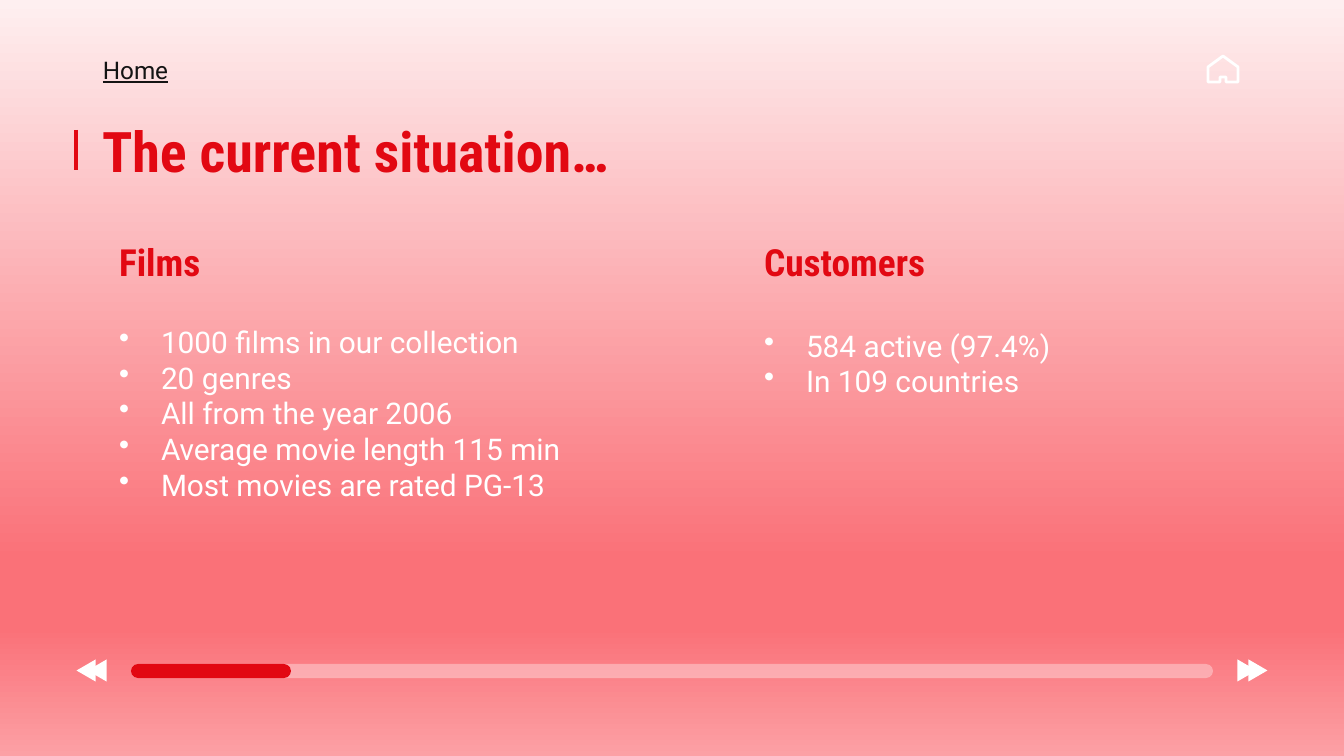
"""Build the slide about the current situation of films and customers."""
from dataclasses import dataclass

import lxml.etree
import pptx
import pptx.dml.color
import pptx.enum.dml
import pptx.enum.shapes
import pptx.enum.text
import pptx.oxml.ns
import pptx.util

SCALE = 9144000 / 1344
INSET = 13
INDENT = 42
COLORS = {"red": "E20812", "white": "FFFFFF", "ink": "141414"}
BACKDROP = {0: "FEEFF0", 74: "FA7178", 83: "FA7178", 100: "FCA0A5"}
HOUSE = [(1223, 56), (1208, 67), (1208, 82), (1220, 82), (1220, 77),
         (1226, 77), (1226, 82), (1238, 82), (1238, 67)]
SHAPES = pptx.enum.shapes.MSO_SHAPE
qn = pptx.oxml.ns.qn


@dataclass
class Label:
    box: tuple[int, int, int, int]
    lines: list[str]
    size: int
    color: str
    font: str = "Roboto"
    bold: bool = False
    underline: bool = False
    bullets: bool = False
    bottom: int = INSET


@dataclass
class Block:
    kind: SHAPES
    box: tuple[int, int, int, int]
    color: str
    rotation: int = 0
    alpha: int = 100


def px(n: float) -> int:
    return pptx.util.Emu(round(n * SCALE))


def rgb(name: str) -> pptx.dml.color.RGBColor:
    return pptx.dml.color.RGBColor.from_string(COLORS[name])


def heading(left: int, text: str) -> Label:
    return Label((left, 223, 344, 78), [text], 20, "red", "Roboto Condensed", bold=True)


def add_backdrop(s: pptx.slide.Slide) -> None:
    fill = s.background.fill
    fill.gradient()
    fill.gradient_angle = 270
    stops = s.element.find(".//" + qn("a:gsLst"))
    for stop in list(stops):
        stops.remove(stop)
    for position, color in BACKDROP.items():
        stop = lxml.etree.SubElement(stops, qn("a:gs"), pos=str(position * 1000))
        lxml.etree.SubElement(stop, qn("a:srgbClr"), val=color)


def add_bullet(p: pptx.text.text._Paragraph, color: str) -> None:
    props = p._p.get_or_add_pPr()
    props.set("marL", str(px(INDENT)))
    props.set("indent", str(-px(INDENT)))
    tint = lxml.etree.Element(qn("a:buClr"))
    lxml.etree.SubElement(tint, qn("a:srgbClr"), val=COLORS[color])
    props.insert(0, tint)
    props.insert(1, lxml.etree.Element(qn("a:buChar"), char="•"))


def add_label(s: pptx.slide.Slide, label: Label) -> None:
    tf = s.shapes.add_textbox(*map(px, label.box)).text_frame
    tf.word_wrap = True
    tf.vertical_anchor = pptx.enum.text.MSO_ANCHOR.MIDDLE
    tf.margin_left = tf.margin_right = tf.margin_top = px(INSET)
    tf.margin_bottom = px(label.bottom)
    tf.text = "\n".join(label.lines)
    for p in tf.paragraphs:
        p.font.name = label.font
        p.font.size = pptx.util.Pt(label.size)
        p.font.bold = label.bold
        p.font.underline = label.underline
        p.font.color.rgb = rgb(label.color)
        if label.bullets:
            add_bullet(p, label.color)


def add_block(s: pptx.slide.Slide, block: Block) -> None:
    sp = s.shapes.add_shape(block.kind, *map(px, block.box))
    sp.shadow.inherit = False
    sp.adjustments[0] = 0.5
    sp.rotation = block.rotation
    sp.fill.solid()
    sp.fill.fore_color.rgb = rgb(block.color)
    sp.line.fill.background()
    if block.alpha < 100:
        color = sp._element.spPr.find(".//" + qn("a:srgbClr"))
        lxml.etree.SubElement(color, qn("a:alpha"), val=str(block.alpha * 1000))


def add_title_bar(s: pptx.slide.Slide) -> None:
    bar = s.shapes.add_connector(pptx.enum.shapes.MSO_CONNECTOR.STRAIGHT,
                                 px(76), px(130), px(76), px(170))
    bar.line.color.rgb = rgb("red")
    bar.line.width = pptx.util.Pt(2.25)
    lxml.etree.SubElement(bar._element.spPr, qn("a:effectLst"))


def add_house(s: pptx.slide.Slide) -> None:
    builder = s.shapes.build_freeform(*HOUSE[0], scale=SCALE)
    builder.add_line_segments(HOUSE[1:], close=True)
    house = builder.convert_to_shape()
    house.shadow.inherit = False
    house.fill.background()
    house.line.color.rgb = rgb("white")
    house.line.width = pptx.util.Pt(1.5)


LABELS = [
    Label((90, 47, 125, 46), ["Home"], 13, "ink", underline=True),
    Label((89, 108, 1149, 85), ["The current situation…"], 30, "red",
          "Roboto Condensed", bold=True),
    heading(106, "Films"),
    heading(751, "Customers"),
    Label((106, 306, 640, 245),
          ["1000 films in our collection", "20 genres", "All from the year 2006",
           "Average movie length 115 min", "Most movies are rated PG-13"],
          16, "white", bullets=True, bottom=INSET + 31),
    Label((751, 308, 344, 110), ["584 active (97.4%)", "In 109 countries"],
          16, "white", bullets=True),
]
BLOCKS = [
    Block(SHAPES.ROUNDED_RECTANGLE, (131, 664, 1082, 14), "white", alpha=35),
    Block(SHAPES.ROUNDED_RECTANGLE, (131, 664, 160, 14), "red"),
] + [
    Block(SHAPES.ISOSCELES_TRIANGLE, (left + step, 661, 22, 19), "white", rotation)
    for left, rotation in ((75, 270), (1236, 90)) for step in (0, 11)
]

prs = pptx.Presentation()
prs.slide_width, prs.slide_height = px(1344), px(756)
s = prs.slides.add_slide(prs.slide_layouts[6])
add_backdrop(s)
add_title_bar(s)
for block in BLOCKS:
    add_block(s, block)
add_house(s)
for label in LABELS:
    add_label(s, label)
prs.save("out.pptx")
